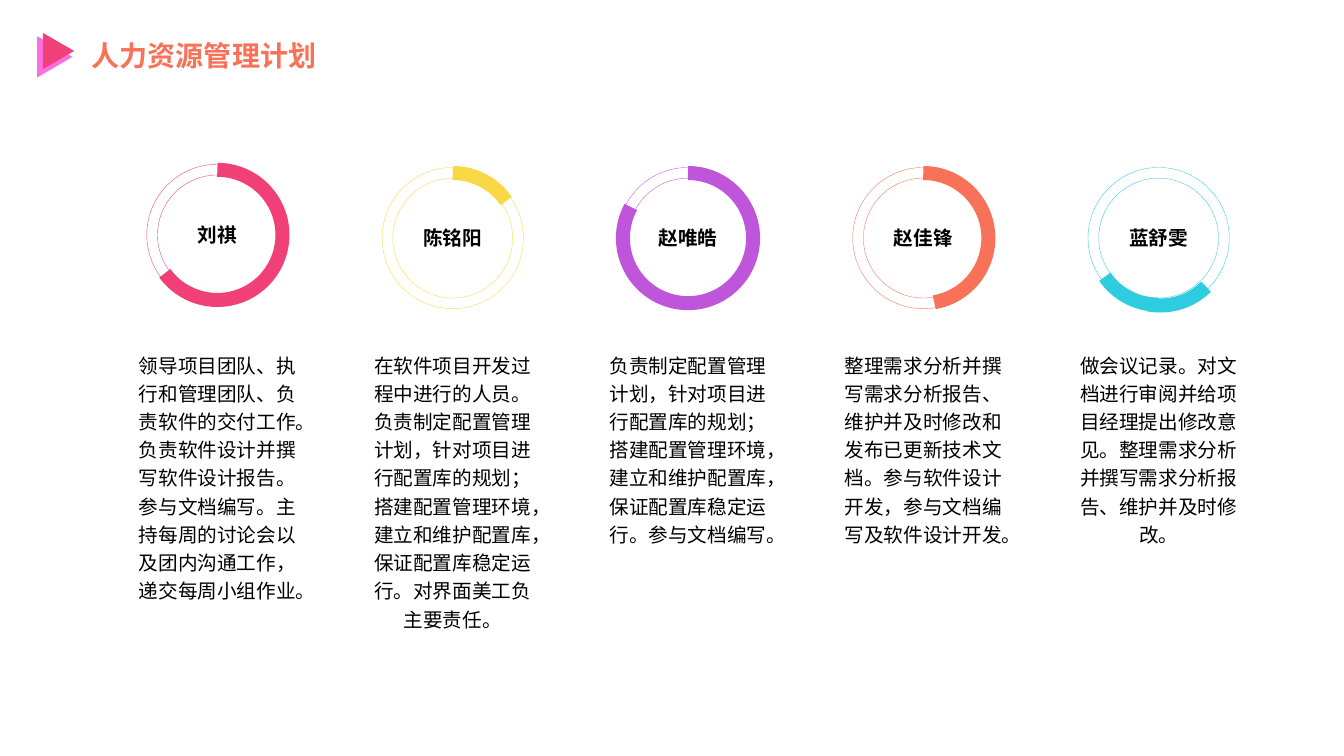
from dataclasses import dataclass

from lxml.etree import SubElement
from pptx import Presentation
from pptx.dml.color import RGBColor
from pptx.enum.lang import MSO_LANGUAGE_ID
from pptx.enum.shapes import MSO_SHAPE
from pptx.enum.text import MSO_ANCHOR, MSO_AUTO_SIZE, PP_ALIGN
from pptx.oxml.ns import qn
from pptx.util import Cm, Pt


@dataclass(frozen=True)
class Theme:
    font: str = "Noto Sans CJK SC"
    pink: str = "F04077"
    light_pink: str = "FF6CE4"
    yellow: str = "F8D845"
    purple: str = "BF55DB"
    orange: str = "F77258"
    cyan: str = "2DCCDF"
    text: str = "000000"
    title_size: int = 20
    body_size: int = 14
    thin_line: float = 0.25
    thick_line: float = 10


THEME = Theme()

# Layout in centimetres
FIRST_CENTRE, COLUMN_PITCH = 5.48, 5.93
OUTER_RING, INNER_RING, ARC_RING = 3.56, 3.02, 3.28
BODY_TOP, BODY_WIDTH, LINE_HEIGHT = 8.79, 4.4, 0.71
ARC_START = 162


@dataclass(frozen=True)
class Arc:
    end: float
    rotation: float = 0
    shift_x: float = 0
    shift_y: float = 0


@dataclass(frozen=True)
class Member:
    name: str
    color: str
    arcs: tuple
    lines: int
    duties: str
    ring_y: float = 6.0


MEMBERS = [
    Member("刘祺", THEME.pink, (Arc(86.31),), 9,
           "领导项目团队、执行和管理团队、负责软件的交付工作。负责软件设计并撰写软件设计报告。"
           "参与文档编写。主持每周的讨论会以及团内沟通工作，递交每周小组作业。", ring_y=5.92),
    Member("陈铭阳", THEME.yellow, (Arc(195.17),), 10,
           "在软件项目开发过程中进行的人员。负责制定配置管理计划，针对项目进行配置库的规划；"
           "搭建配置管理环境，建立和维护配置库，保证配置库稳定运行。对界面美工负主要责任。"),
    Member("赵唯皓", THEME.purple, (Arc(125.11),), 7,
           "负责制定配置管理计划，针对项目进行配置库的规划；搭建配置管理环境，"
           "建立和维护配置库，保证配置库稳定运行。参与文档编写。"),
    Member("赵佳锋", THEME.orange, (Arc(48.18),), 7,
           "整理需求分析并撰写需求分析报告、维护并及时修改和发布已更新技术文档。"
           "参与软件设计开发，参与文档编写及软件设计开发。"),
    Member("蓝舒雯", THEME.cyan,
           (Arc(195.17, 135.3, 0.04, 0.06), Arc(195.17, 180, -0.01, 0.04)), 7,
           "做会议记录。对文档进行审阅并给项目经理提出修改意见。"
           "整理需求分析并撰写需求分析报告、维护并及时修改。"),
]


def apply_format(target, values):
    for name, value in values.items():
        setattr(target, name, value)


def write_text(shape, text, size, color, bold=False, frame_format=None, para_format=None):
    frame = shape.text_frame
    apply_format(frame, {"word_wrap": True, **(frame_format or {})})
    para = frame.paragraphs[0]
    apply_format(para, para_format or {})
    span = para.add_run()
    span.text = text
    apply_format(span.font, {"name": THEME.font, "size": Pt(size), "bold": bold,
                             "language_id": MSO_LANGUAGE_ID.SIMPLIFIED_CHINESE})
    span.font.color.rgb = RGBColor.from_string(color)
    # East Asian glyphs take their own typeface entry
    SubElement(span.font._element, qn("a:ea"), typeface=THEME.font)


def add_title(page, text):
    title = page.shapes.title
    apply_format(title, {"left": Cm(2.06), "top": Cm(0.84),
                         "width": Cm(6.48), "height": Cm(1.12)})
    write_text(title, text, THEME.title_size, THEME.orange, bold=True,
               frame_format={"vertical_anchor": MSO_ANCHOR.MIDDLE,
                             "auto_size": MSO_AUTO_SIZE.NONE,
                             "margin_top": 0, "margin_bottom": 0},
               para_format={"alignment": PP_ALIGN.LEFT})


def add_triangle(group, left, top, width, height, color):
    triangle = group.shapes.add_shape(MSO_SHAPE.ISOSCELES_TRIANGLE,
                                      Cm(left), Cm(top), Cm(width), Cm(height))
    triangle.rotation = 90
    triangle.shadow.inherit = False
    triangle.fill.solid()
    triangle.fill.fore_color.rgb = RGBColor.from_string(color)
    triangle.line.fill.background()


def add_outline(group, kind, centre_x, centre_y, diameter, color, weight):
    outline = group.shapes.add_shape(kind, Cm(centre_x - diameter / 2),
                                     Cm(centre_y - diameter / 2), Cm(diameter), Cm(diameter))
    outline.shadow.inherit = False
    outline.fill.background()
    outline.line.color.rgb = RGBColor.from_string(color)
    outline.line.width = Pt(weight)
    return outline


def add_member_ring(page, member, centre_x):
    group = page.shapes.add_group_shape()
    rings = [add_outline(group, MSO_SHAPE.OVAL, centre_x, member.ring_y, diameter,
                         member.color, THEME.thin_line)
             for diameter in (OUTER_RING, INNER_RING)]
    write_text(rings[-1], member.name, THEME.body_size, THEME.text, bold=True,
               frame_format={"vertical_anchor": MSO_ANCHOR.MIDDLE},
               para_format={"alignment": PP_ALIGN.CENTER})
    for part in member.arcs:
        arc = add_outline(group, MSO_SHAPE.ARC, centre_x + part.shift_x,
                          member.ring_y + part.shift_y, ARC_RING,
                          member.color, THEME.thick_line)
        arc.adjustments[0] = ARC_START
        arc.adjustments[1] = part.end
        arc.rotation = part.rotation


def add_duties(page, member, centre_x):
    box = page.shapes.add_textbox(Cm(centre_x - BODY_WIDTH / 2), Cm(BODY_TOP),
                                  Cm(BODY_WIDTH), Cm(member.lines * LINE_HEIGHT))
    margins = {f"margin_{side}": 0 for side in ("left", "top", "right", "bottom")}
    write_text(box, member.duties, THEME.body_size, THEME.text,
               frame_format={**margins, "auto_size": MSO_AUTO_SIZE.SHAPE_TO_FIT_TEXT},
               para_format={"alignment": PP_ALIGN.CENTER, "line_spacing": 1.2,
                            "space_before": Pt(0.2 * THEME.body_size)})


def main():
    deck = Presentation()
    apply_format(deck, {"slide_width": Cm(33.87), "slide_height": Cm(19.05)})
    page = deck.slides.add_slide(deck.slide_layouts[5])

    # Heading with its double triangle
    add_title(page, "人力资源管理计划")
    marker = page.shapes.add_group_shape()
    add_triangle(marker, 0.86, 0.99, 1.04, 0.89, THEME.light_pink)
    add_triangle(marker, 1.02, 0.89, 0.91, 0.79, THEME.pink)

    # One column per team member
    for column, member in enumerate(MEMBERS):
        centre_x = FIRST_CENTRE + column * COLUMN_PITCH
        add_member_ring(page, member, centre_x)
        add_duties(page, member, centre_x)

    deck.save("out.pptx")


main()
